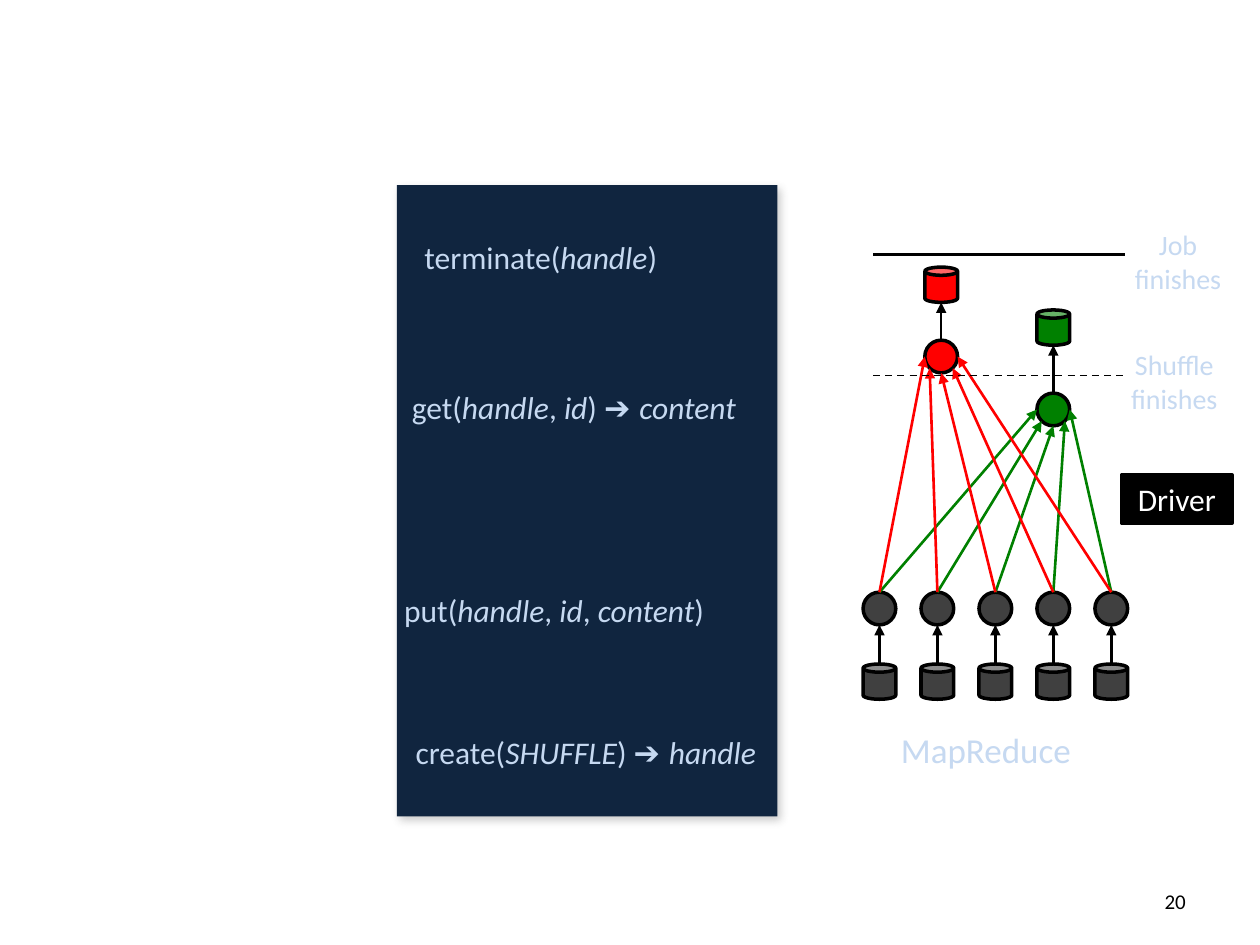
from math import cos, radians, sin

from lxml.etree import SubElement
from pptx import Presentation
from pptx.dml.color import RGBColor
from pptx.enum.dml import MSO_LINE
from pptx.enum.shapes import MSO_CONNECTOR, MSO_SHAPE
from pptx.enum.text import MSO_ANCHOR, PP_ALIGN
from pptx.oxml.ns import qn
from pptx.util import Pt

EMU_PER_PX = 9144  # 100 px to the inch
COLORS = {
    "panel": "10253F", "label": "C6D9F1", "black": "000000", "white": "FFFFFF",
    "gray": "404040", "red": "FF0000", "green": "008000", "shadow": "808080",
}
NODE = 26  # diameter of a task, width of a data store
STORE_HEIGHT = 28


def px(value):
    return round(value * EMU_PER_PX)


def rgb(name):
    return RGBColor.from_string(COLORS[name])


def add_figure(page, kind, box, fill, line="black"):
    figure = page.shapes.add_shape(kind, *map(px, box))
    figure.shadow.inherit = False
    figure.fill.solid()
    figure.fill.fore_color.rgb = rgb(fill)
    if line:
        figure.line.color.rgb = rgb(line)
        figure.line.width = Pt(2)
    else:
        figure.line.fill.background()
    return figure


def add_line(page, start, end, color="black", width=1.5, arrow=True):
    line = page.shapes.add_connector(MSO_CONNECTOR.STRAIGHT, *map(px, (*start, *end)))
    line.line.color.rgb = rgb(color)
    line.line.width = Pt(width)
    if arrow:
        SubElement(line.line._get_or_add_ln(), qn("a:tailEnd"), type="triangle")
    SubElement(line._element.spPr, qn("a:effectLst"))
    return line


def write(frame, spans, size, color="label", align=PP_ALIGN.CENTER, anchor=MSO_ANCHOR.TOP):
    """Fill a text frame with one paragraph of (text, italic, font) spans."""
    frame.word_wrap = True
    frame.vertical_anchor = anchor
    para = frame.paragraphs[0]
    para.alignment = align
    for text, italic, font in spans:
        span = para.add_run()
        span.text = text
        span.font.name = font
        span.font.size = Pt(size)
        span.font.italic = italic
        span.font.color.rgb = rgb(color)


def plain(text):
    return [(text, False, "Calibri")]


def italic(text):
    return [(text, True, "Calibri")]


ARROW = [("➔ ", False, "Arial")]


def add_label(page, box, spans, size, **style):
    label = page.shapes.add_textbox(*map(px, box))
    write(label.text_frame, spans, size, **style)


def add_panel(page, box):
    panel = add_figure(page, MSO_SHAPE.RECTANGLE, box, "panel", line=None)
    effects = panel._element.spPr.find(qn("a:effectLst"))
    shadow = SubElement(effects, qn("a:outerShdw"), blurRad=str(Pt(5)), dist=str(Pt(3)),
                        dir="2700000", rotWithShape="0")
    tint = SubElement(shadow, qn("a:srgbClr"), val=COLORS["shadow"])
    SubElement(tint, qn("a:alpha"), val="40000")


def add_calls(page, box):
    """The API calls, at offsets from the panel's corner."""
    left, top = box[:2]
    calls = [
        (12, 37, 248, plain("terminate(") + italic("handle") + plain(")")),
        (2, 156, 341, plain("get(") + italic("handle") + plain(", ") + italic("id")
         + plain(") ") + ARROW + italic("content")),
        (-4, 317, 316, plain("put(") + italic("handle") + plain(", ") + italic("id")
         + plain(", ") + italic("content") + plain(")")),
        (5, 430, 357, plain("create(") + italic("SHUFFLE") + plain(") ")
         + ARROW + italic("handle")),
    ]
    for x, y, width, spans in calls:
        add_label(page, (left + x, top + y, width, 40), spans, 18, align=PP_ALIGN.LEFT)


def add_task(page, center, top, color):
    add_figure(page, MSO_SHAPE.OVAL, (center - NODE / 2, top, NODE, NODE), color)


def add_store(page, center, top, color):
    store = add_figure(page, MSO_SHAPE.CAN,
                       (center - NODE / 2, top, NODE, STORE_HEIGHT), color)
    store.adjustments[0] = 0.25


def add_job_graph(page, box):
    left, top, width, height = box
    mapper_top, input_top = top + 268, top + height - STORE_HEIGHT
    mappers = [left + NODE / 2 + 46 * i for i in range(5)]

    # Input stores feeding the map tasks
    for center in mappers:
        add_task(page, center, mapper_top, "gray")
        add_store(page, center, input_top, "gray")
        add_line(page, (center, input_top), (center, mapper_top + NODE))

    # Reduce tasks, each with its output store above
    reducers = [(left + 151, top + 110, top + 44, "green"),
                (left + 62, top + 68, top + 10, "red")]
    for center, task_top, store_top, color in reducers:
        add_task(page, center, task_top, color)
        add_store(page, center, store_top, color)
        add_line(page, (center, task_top), (center, store_top + STORE_HEIGHT))

    # Shuffle: arrows meet each reducer around its lower half
    for center, task_top, _, color in reducers:
        radius = NODE / 2
        for mapper, angle in zip(mappers, range(180, -1, -45)):
            end = (center + radius * cos(radians(angle)),
                   task_top + radius + radius * sin(radians(angle)))
            add_line(page, (mapper, mapper_top), end, color)

    # Stage boundaries
    right = left + width - 2
    shuffle_end = add_line(page, (left + 8, top + 96), (right, top + 96), width=1, arrow=False)
    shuffle_end.line.dash_style = MSO_LINE.DASH
    add_line(page, (left + 8, top), (right, top), width=2.25, arrow=False)

    # Labels
    add_label(page, (left + 198, top - 26, 104, 90), plain("Job finishes"), 16)
    add_label(page, (left + 198, top + 69, 98, 90), plain("Shuffle finishes"), 16)
    add_label(page, (left + 8, top + 371, 179, 77), plain("MapReduce"), 20)


def add_driver(page, box):
    driver = add_figure(page, MSO_SHAPE.RECTANGLE, box, "black")
    write(driver.text_frame, plain("Driver"), 18, "white", anchor=MSO_ANCHOR.MIDDLE)


def main():
    deck = Presentation()
    deck.slide_width, deck.slide_height = px(1000), px(750)
    page = deck.slides.add_slide(deck.slide_layouts[6])

    panel_box = (315, 147, 302, 501)
    add_panel(page, panel_box)
    add_job_graph(page, (685, 202, 210, 353))
    add_calls(page, panel_box)
    add_driver(page, (890, 377, 88, 38))
    # Page number
    add_label(page, (913, 695, 38, 40), plain("20"), 12, color="black",
              align=PP_ALIGN.RIGHT, anchor=MSO_ANCHOR.MIDDLE)
    deck.save("out.pptx")


if __name__ == "__main__":
    main()
